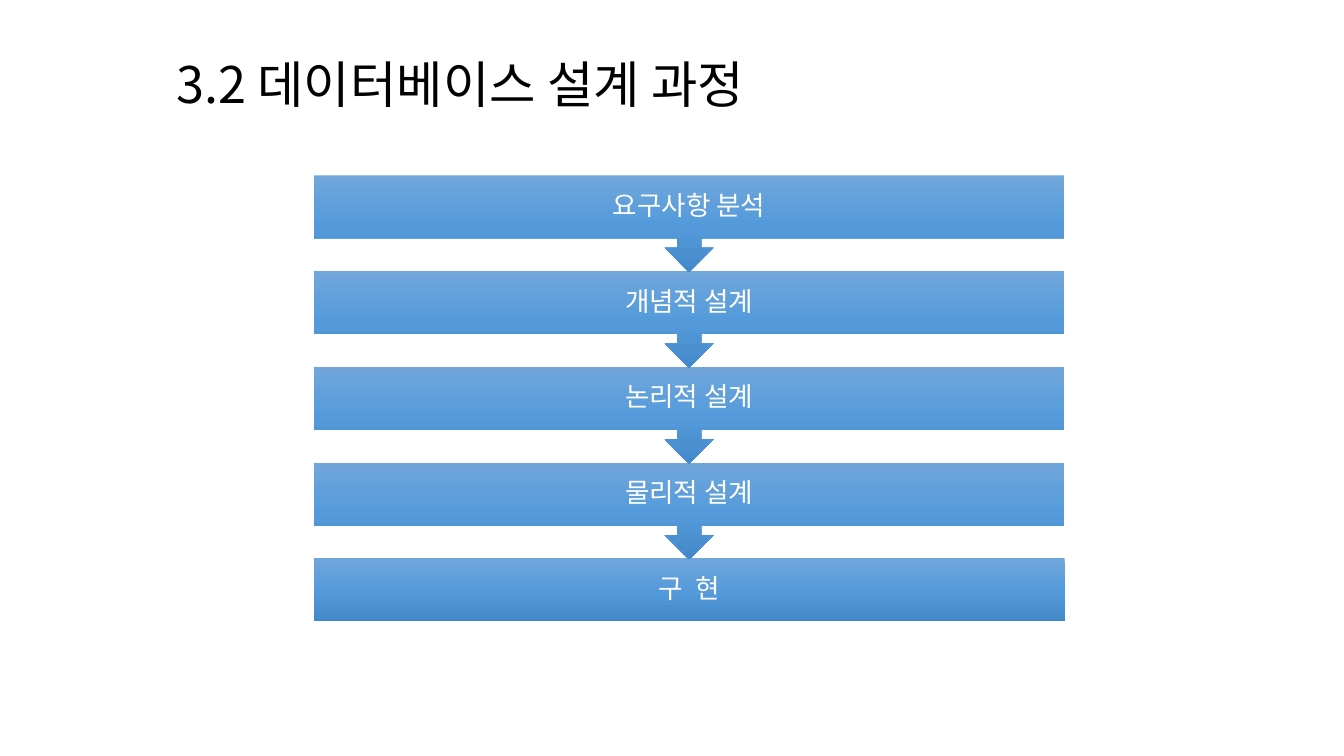
from copy import deepcopy

from lxml.etree import SubElement
from pptx import Presentation
from pptx.dml.color import RGBColor
from pptx.enum.shapes import MSO_SHAPE as Shape
from pptx.enum.text import MSO_ANCHOR as Anchor, PP_ALIGN as Align
from pptx.oxml.ns import qn
from pptx.util import Inches, Pt

FONT = "Noto Sans CJK KR"
BLACK = RGBColor(0x00, 0x00, 0x00)
WHITE = RGBColor(0xFF, 0xFF, 0xFF)
LIGHT_BLUE = RGBColor(0x71, 0xA6, 0xDB)
MID_BLUE = RGBColor(0x55, 0x9B, 0xDB)
DARK_BLUE = RGBColor(0x44, 0x8A, 0xCA)

TITLE = "3.2 데이터베이스 설계 과정"
STEPS = ["요구사항 분석", "개념적 설계", "논리적 설계", "물리적 설계", "구  현"]


def add_span(para, text, size, color):
    span = para.add_run()
    span.text = text
    span.font.size = Pt(size)
    span.font.name = FONT
    span.font.color.rgb = color
    SubElement(span.font._element, qn("a:ea"), typeface=FONT)


def fill_gradient(shape, colors):
    shape.fill.gradient()
    shape.fill.gradient_angle = 270
    stop_list = shape._element.spPr.find(".//" + qn("a:gsLst"))
    while len(stop_list) < len(colors):
        stop_list.insert(1, deepcopy(stop_list[0]))
    for index, (stop, color) in enumerate(zip(shape.fill.gradient_stops, colors)):
        stop.position = index / (len(colors) - 1)
        stop.color.rgb = color


def add_title(slide, left, top, width, height):
    box = slide.shapes.add_textbox(Inches(left), Inches(top), Inches(width), Inches(height))
    box.text_frame.word_wrap = True
    add_span(box.text_frame.paragraphs[0], TITLE, 36, BLACK)


def add_step(slide, kind, text, left, top, width, height):
    step = slide.shapes.add_shape(kind, Inches(left), Inches(top), Inches(width), Inches(height))
    step.shadow.inherit = False
    step.line.fill.background()
    fill_gradient(step, [LIGHT_BLUE, MID_BLUE, DARK_BLUE])
    frame = step.text_frame
    frame.word_wrap = True
    frame.vertical_anchor = Anchor.MIDDLE
    frame.margin_left = frame.margin_right = Inches(0.15)
    frame.margin_top = frame.margin_bottom = Inches(0.15)
    para = frame.paragraphs[0]
    para.alignment = Align.CENTER
    para.line_spacing = 0.9
    add_span(para, text, 19, WHITE)


def add_process(slide, left, top, width, height):
    bar_height = 0.62
    pitch = (height - bar_height) / (len(STEPS) - 1)
    last = len(STEPS) - 1
    for index in reversed(range(len(STEPS))):
        kind = Shape.RECTANGLE if index == last else Shape.DOWN_ARROW_CALLOUT
        step_height = bar_height if index == last else pitch + 0.01
        add_step(slide, kind, STEPS[index], left, top + index * pitch, width, step_height)


deck = Presentation()
deck.slide_width = Inches(13.33)
deck.slide_height = Inches(7.5)
page = deck.slides.add_slide(deck.slide_layouts[6])
add_title(page, 1.65, 0.48, 10.52, 0.71)
add_process(page, 3.11, 1.74, 7.45, 4.42)
deck.save("out.pptx")
